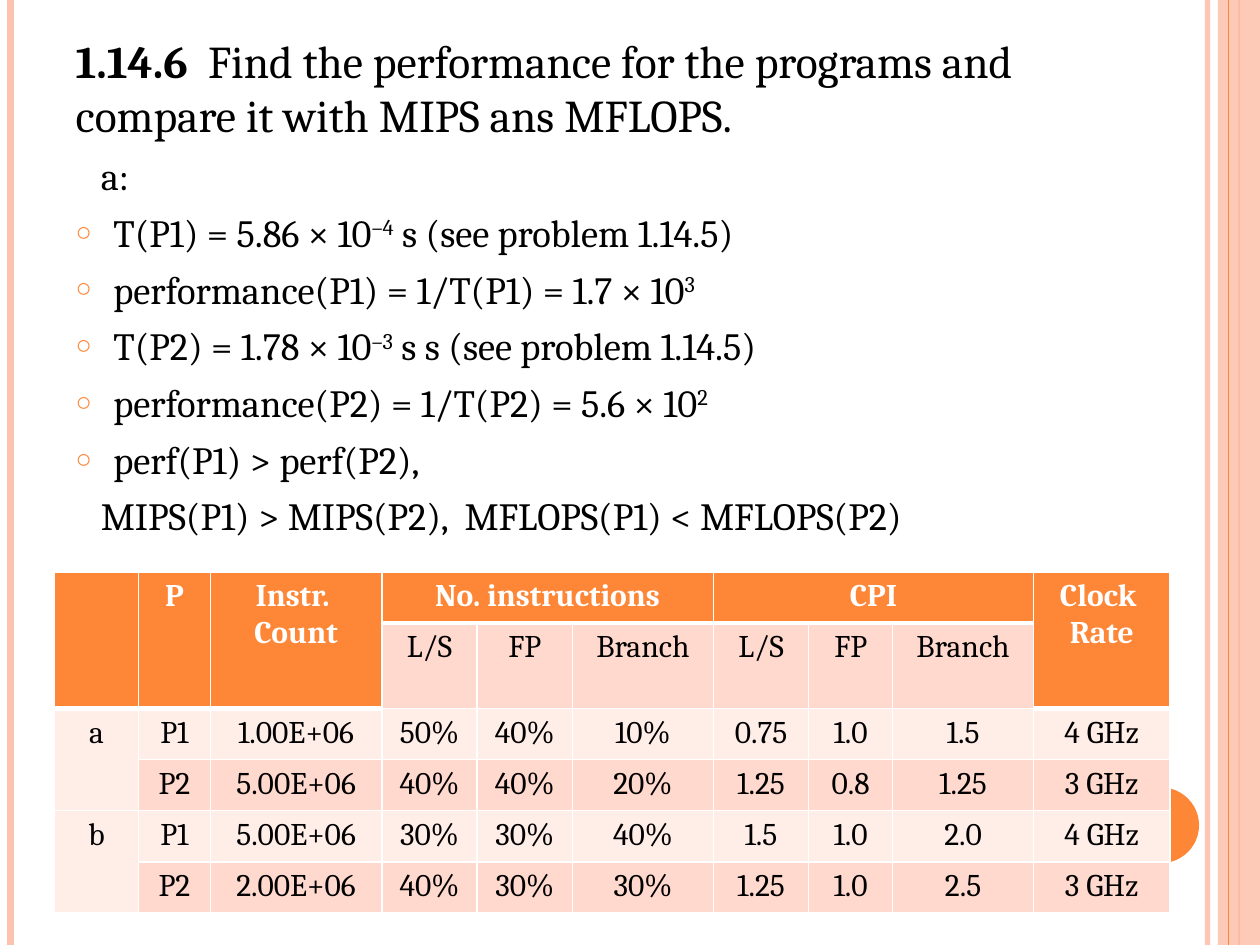
import pptx
import pptx.dml.color
import pptx.enum.shapes
import pptx.enum.text
import pptx.oxml
import pptx.oxml.ns
import pptx.util
from lxml import etree

Pt = pptx.util.Pt
RGBColor = pptx.dml.color.RGBColor
qn = pptx.oxml.ns.qn

ORANGE = RGBColor(0xFE, 0x86, 0x37)
PEACH = RGBColor(0xFE, 0xC3, 0xAE)
BAND_DARK = RGBColor(0xFF, 0xD9, 0xCE)
BAND_LIGHT = RGBColor(0xFF, 0xED, 0xE8)
WHITE = RGBColor(0xFF, 0xFF, 0xFF)
BLACK = RGBColor(0, 0, 0)
FONT = "Cambria"
SLIDE_W, SLIDE_H = 720, 540

# "^" separates normal text from superscripts
BULLETS = [
    "T(P1) = 5.86 × 10^–4^ s (see problem 1.14.5)",
    "performance(P1) = 1/T(P1) = 1.7 × 10^3",
    "T(P2) = 1.78 × 10^–3^ s s (see problem 1.14.5)",
    "performance(P2) = 1/T(P2) = 5.6 × 10^2",
    "perf(P1) > perf(P2),",
]

COLUMN_WIDTHS = [48, 41, 98, 54.5, 54.5, 80.5, 54.5, 48, 80.5, 78]
ROW_HEIGHT = 29.2
TABLE_ROWS = [
    ["", "P", "Instr. \nCount", "No. instructions", "", "", "CPI", "", "", "Clock \nRate"],
    ["", "", "", "L/S", "FP", "Branch", "L/S", "FP", "Branch", ""],
    ["a", "P1", "1.00E+06", "50%", "40%", "10%", "0.75", "1.0", "1.5", "4 GHz"],
    ["", "P2", "5.00E+06", "40%", "40%", "20%", "1.25", "0.8", "1.25", "3 GHz"],
    ["b", "P1", "5.00E+06", "30%", "30%", "40%", "1.5", "1.0", "2.0", "4 GHz"],
    ["", "P2", "2.00E+06", "40%", "30%", "30%", "1.25", "1.0", "2.5", "3 GHz"],
]
TALL_HEADERS = (0, 1, 2, 9)
MERGES = [((0, c), (1, c)) for c in TALL_HEADERS] + [
    ((0, 3), (0, 5)), ((0, 6), (0, 8)), ((2, 0), (3, 0)), ((4, 0), (5, 0))]


def set_alpha(color_format_parent, percent):
    for clr in color_format_parent.iter(qn("a:srgbClr")):
        etree.SubElement(clr, qn("a:alpha")).set("val", str(percent * 1000))


def add_rule(s, x, color, width, alpha=100):
    """Vertical line over the full slide height."""
    line = s.shapes.add_connector(
        pptx.enum.shapes.MSO_CONNECTOR.STRAIGHT, Pt(x), 0, Pt(x), Pt(SLIDE_H))
    line.line.color.rgb = color
    line.line.width = Pt(width)
    sp_pr = line._element.spPr
    if alpha < 100:
        set_alpha(sp_pr, alpha)
    etree.SubElement(sp_pr, qn("a:effectLst"))


def add_block(s, kind, x, y, w, h, color, alpha=100):
    sp = s.shapes.add_shape(kind, Pt(x), Pt(y), Pt(w), Pt(h))
    sp.shadow.inherit = False
    sp.fill.solid()
    sp.fill.fore_color.rgb = color
    if alpha < 100:
        set_alpha(sp._element.spPr, alpha)
    sp.line.fill.background()


def set_indent(p, left, first, bullet=False):
    p_pr = p._p.get_or_add_pPr()
    p_pr.set("marL", str(Pt(left)))
    p_pr.set("indent", str(Pt(first)))
    if not bullet:
        etree.SubElement(p_pr, qn("a:buNone"))
        return
    clr = etree.SubElement(p_pr, qn("a:buClr"))
    etree.SubElement(clr, qn("a:srgbClr")).set("val", str(ORANGE))
    etree.SubElement(p_pr, qn("a:buSzPct")).set("val", "70000")
    etree.SubElement(p_pr, qn("a:buChar")).set("char", "○")


def format_run(r, size, color=BLACK, bold=False):
    r.font.name = FONT
    r.font.size = Pt(size)
    r.font.color.rgb = color
    r.font.bold = bold


def add_line(tf, text, left, first=0, bullet=False):
    p = tf.add_paragraph()
    set_indent(p, left, first, bullet)
    p.space_before = Pt(6)
    for i, part in enumerate(text.split("^")):
        r = p.add_run()
        r.text = part
        format_run(r, 22)
        if i % 2:
            r._r.get_or_add_rPr().set("baseline", "30000")


def fill_body(sp):
    sp.left, sp.top, sp.width, sp.height = Pt(36), Pt(15), Pt(613.5), Pt(494.5)
    tf = sp.text_frame
    tf.word_wrap = True
    tf.auto_size = pptx.enum.text.MSO_AUTO_SIZE.NONE
    tf.vertical_anchor = pptx.enum.text.MSO_ANCHOR.TOP

    # Question
    p = tf.paragraphs[0]
    set_indent(p, 0, 0)
    p.space_before = Pt(0)
    question = "  Find the performance for the programs and compare it with MIPS ans MFLOPS."
    for text, bold in (("1.14.6", True), (question, False)):
        r = p.add_run()
        r.text = text
        format_run(r, 26, bold=bold)

    # Answer
    add_line(tf, "a:", 14.4)
    for text in BULLETS:
        add_line(tf, text, 21.6, -21.6, bullet=True)
    add_line(tf, "MIPS(P1) > MIPS(P2),  MFLOPS(P1) < MFLOPS(P2)", 14.4)


def is_header(row, col):
    return row == 0 or (row == 1 and col in TALL_HEADERS)


def cell_color(row, col):
    if is_header(row, col):
        return ORANGE
    return BAND_LIGHT if row % 2 == 0 or col == 0 else BAND_DARK


def set_borders(cell, top, bottom):
    tc_pr = cell._tc.get_or_add_tcPr()
    for side, width in (("L", 1), ("R", 1), ("T", top), ("B", bottom)):
        ln = etree.SubElement(tc_pr, qn("a:ln" + side))
        ln.set("w", str(Pt(width)))
        fill = etree.SubElement(ln, qn("a:solidFill"))
        etree.SubElement(fill, qn("a:srgbClr")).set("val", str(WHITE))


def add_data_table(s):
    frame = s.shapes.add_table(
        len(TABLE_ROWS), len(COLUMN_WIDTHS), Pt(31.2), Pt(326.9),
        Pt(sum(COLUMN_WIDTHS)), Pt(ROW_HEIGHT * len(TABLE_ROWS)))
    table = frame.table
    for column, width in zip(table.columns, COLUMN_WIDTHS):
        column.width = Pt(width)
    for row in table.rows:
        row.height = Pt(ROW_HEIGHT)
    for row, texts in enumerate(TABLE_ROWS):
        for col, text in enumerate(texts):
            cell = table.cell(row, col)
            header = is_header(row, col)
            set_borders(cell, 3 if row and is_header(row - 1, col) else 1,
                        3 if header else 1)
            cell.fill.solid()
            cell.fill.fore_color.rgb = cell_color(row, col)
            cell.text_frame.text = text
            for p in cell.text_frame.paragraphs:
                p.alignment = pptx.enum.text.PP_ALIGN.CENTER
                for r in p.runs:
                    format_run(r, 18, WHITE if header else BLACK, header)
    for first, last in MERGES:
        table.cell(*first).merge(table.cell(*last))


def main():
    prs = pptx.Presentation()
    prs.slide_width, prs.slide_height = Pt(SLIDE_W), Pt(SLIDE_H)
    s = prs.slides.add_slide(prs.slide_layouts[1])
    title, body = s.placeholders
    title._element.getparent().remove(title._element)

    # Side decoration
    shapes = pptx.enum.shapes.MSO_SHAPE
    add_rule(s, 690, PEACH, 3, alpha=93)
    add_rule(s, 6, PEACH, 4.5)
    add_rule(s, 708, ORANGE, 1.5)
    add_block(s, shapes.RECTANGLE, 696, 0, 24, SLIDE_H, PEACH, alpha=87)
    add_rule(s, 702, ORANGE, 0.75)
    add_block(s, shapes.OVAL, 642, 450, 43.2, 43.2, ORANGE)

    # Text in front of the decoration, then the table
    fill_body(body)
    s.shapes._spTree.append(body._element)
    add_data_table(s)

    prs.save("out.pptx")


if __name__ == "__main__":
    main()
